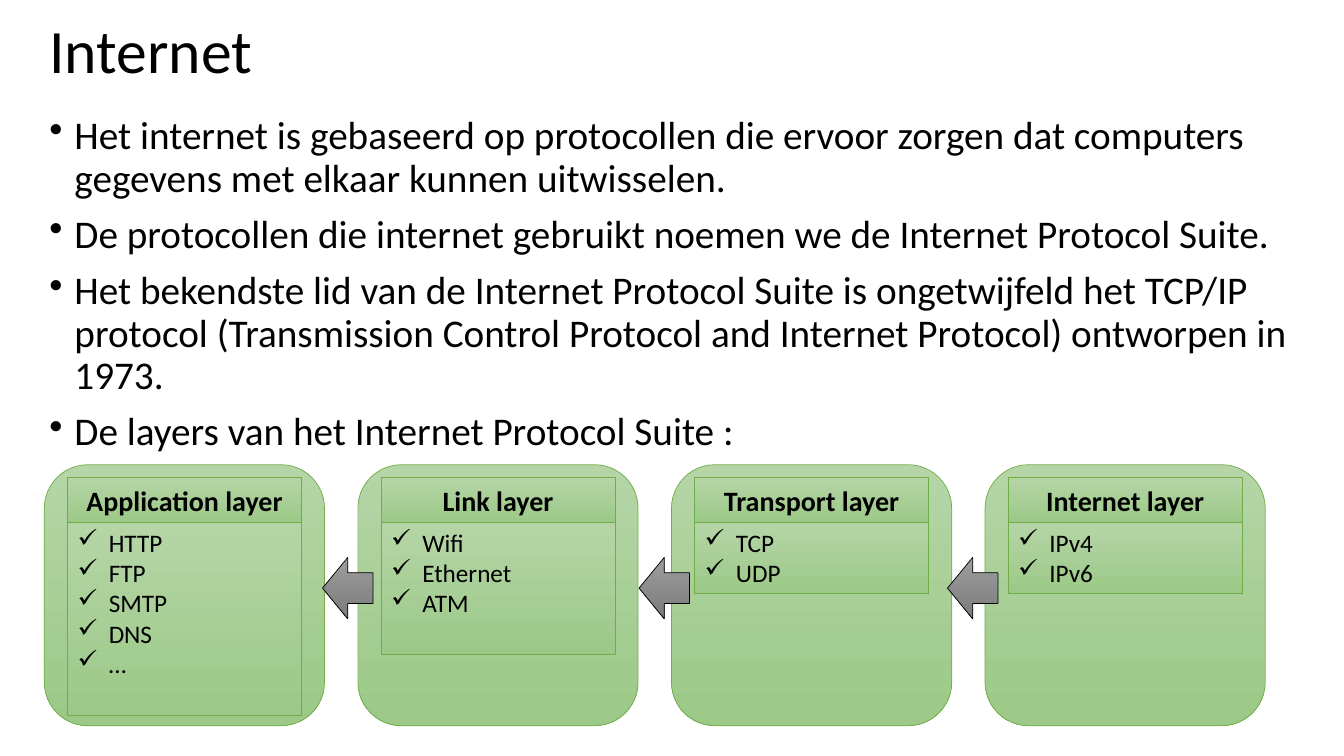
from lxml import etree
from pptx import Presentation, util as u
from pptx.dml.color import RGBColor
from pptx.enum import shapes, text
from pptx.oxml.ns import qn


def tint(code):
    return RGBColor.from_string(code)


def write(frame, lines, size=18, bold=False, align="LEFT", anchor="TOP",
          bullet=None, indent=0, gap=0, lead=None):
    frame.word_wrap = True
    frame.auto_size = text.MSO_AUTO_SIZE.NONE
    frame.vertical_anchor = getattr(text.MSO_ANCHOR, anchor)
    for i, line in enumerate(lines.split("\n")):
        para = frame.add_paragraph() if i else frame.paragraphs[0]
        para.alignment = getattr(text.PP_ALIGN, align)
        if bullet:
            props = para._p.get_or_add_pPr()
            props.set("marL", str(u.Inches(indent)))
            props.set("indent", str(-u.Inches(indent)))
            etree.SubElement(props, qn("a:buChar")).set("char", bullet)
        para.space_before = u.Pt(gap if i else 0)
        if lead:
            para.line_spacing = lead
        run = para.add_run()
        run.text = line
        font = run.font
        font.name, font.size, font.bold = "Calibri", u.Pt(size), bold
        font.color.rgb = tint("000000")


class Deck:
    green = ("B5D5A7", "9CC987", "70AD47")
    grey = ("9D9D9D", "7C7C7C", "000000")

    def __init__(self):
        self.show = Presentation()
        self.show.slide_width = u.Inches(13.33)
        self.show.slide_height = u.Inches(7.5)
        self.slide = self.show.slides.add_slide(self.show.slide_layouts[5])

    def place(self, *box):
        wide, high = self.show.slide_width, self.show.slide_height
        return [int(part * side / 100)
                for part, side in zip(box, (wide, high, wide, high))]

    def title(self, words, *box):
        head = self.slide.shapes.title
        head.left, head.top, head.width, head.height = self.place(*box)
        write(head.text_frame, words, size=44, anchor="MIDDLE", lead=0.9)

    def body(self, words, *box):
        area = self.slide.shapes.add_textbox(*self.place(*box))
        write(area.text_frame, words, size=28, bullet="•", indent=0.25,
              gap=10, lead=0.9)

    def shape(self, kind, *box, style=green):
        form = self.slide.shapes.add_shape(
            getattr(shapes.MSO_SHAPE, kind), *self.place(*box))
        form.shadow.inherit = False
        form.fill.gradient()
        form.fill.gradient_angle = 270
        for stop, code in zip(form.fill.gradient_stops, style):
            stop.color.rgb = tint(code)
        form.line.color.rgb = tint(style[2])
        form.line.width = u.Pt(0.5)
        return form

    def layer(self, left, name, items, rows):
        self.shape("ROUNDED_RECTANGLE", left, 61.47, 20.85, 34.53)
        head = self.shape("RECTANGLE", left + 1.73, 63.2, 17.4, 5.87)
        write(head.text_frame, name, size=20, bold=True, align="CENTER",
              anchor="MIDDLE")
        area = self.shape("RECTANGLE", left + 1.73, 69.07, 17.4,
                          1.35 + 4.04 * rows)
        write(area.text_frame, items, bullet="✓", indent=0.31)

    def arrow(self, left):
        self.shape("LEFT_ARROW", left, 73.73, 3.75, 8.13, style=self.grey)


def main():
    deck = Deck()
    deck.title("Internet", 2.93, 1.33, 93.75, 11.6)
    deck.body(
        "Het internet is gebaseerd op protocollen die ervoor zorgen dat "
        "computers gegevens met elkaar kunnen uitwisselen.\n"
        "De protocollen die internet gebruikt noemen we de Internet "
        "Protocol Suite.\n"
        "Het bekendste lid van de Internet Protocol Suite is ongetwijfeld "
        "het TCP/IP protocol (Transmission Control Protocol and Internet "
        "Protocol) ontworpen in 1973.\n"
        "De layers van het Internet Protocol Suite :",
        2.93, 14.67, 93.75, 82.27)
    layers = [
        ("Application layer", "HTTP\nFTP\nSMTP\nDNS\n…", 6),
        ("Link layer", "Wifi\nEthernet\nATM", 4),
        ("Transport layer", "TCP\nUDP", 2),
        ("Internet layer", "IPv4\nIPv6", 2),
    ]
    for i, layer in enumerate(layers):
        deck.layer(3.3 + 23.33 * i, *layer)
    for left in (24, 47.55, 70.5):
        deck.arrow(left)
    deck.show.save("out.pptx")


if __name__ == "__main__":
    main()
